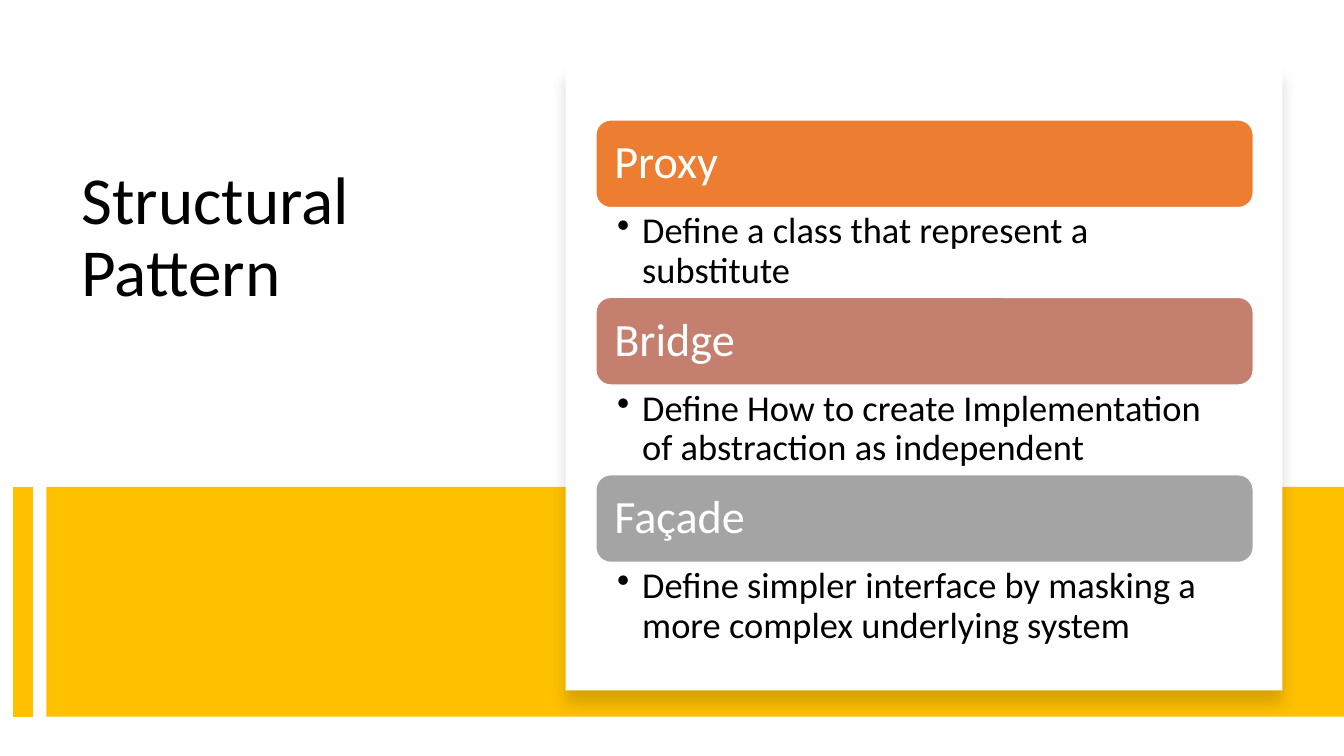
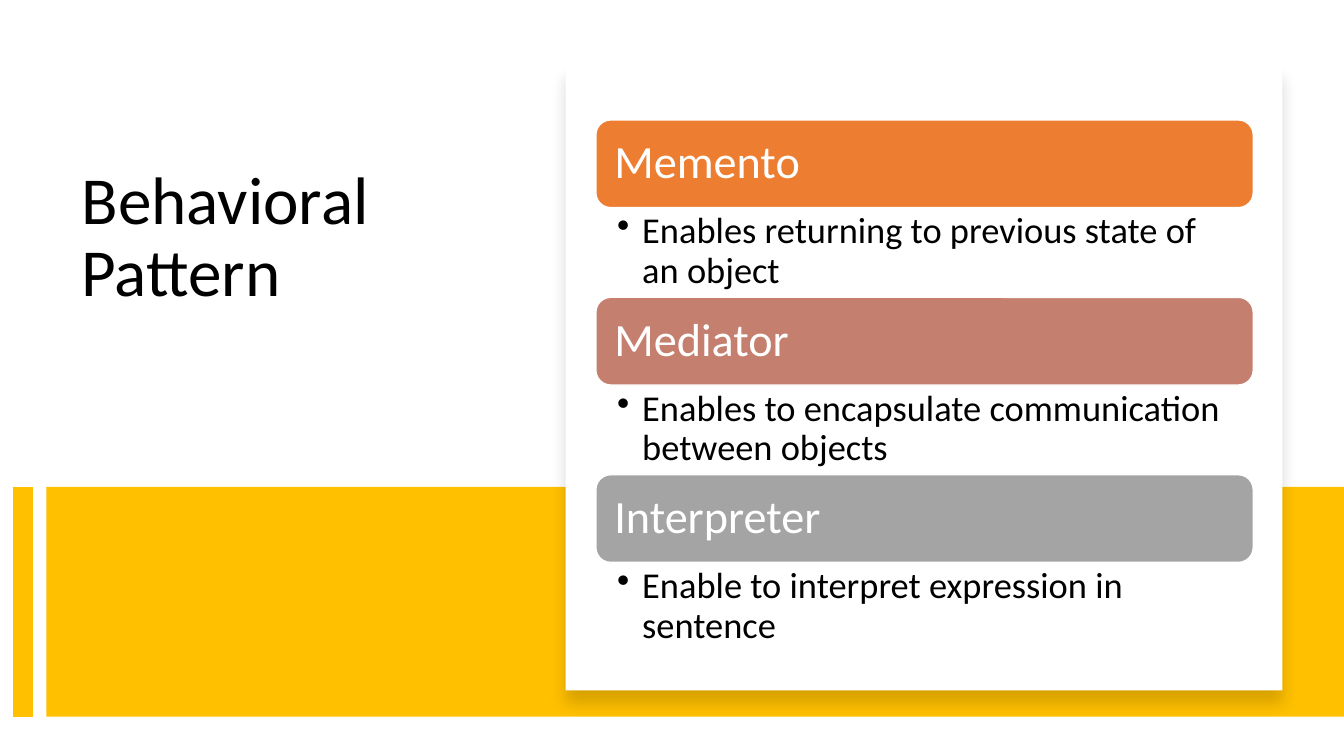
from lxml import etree
from pptx import Presentation
from pptx.dml.color import RGBColor
from pptx.enum import shapes as sh, text as tx
from pptx.oxml import ns
from pptx.util import Inches, Pt

HUES = {
    "ink": "000000", "paper": "FFFFFF", "gold": "FFC000",
    "orange": "ED7D31", "rose": "C47F6E", "gray": "A4A4A4",
}
FONT = "Calibri"
TOP, STEP, HIGH = 1.19, 1.76, 0.87
LEFT, WIDE = 5.91, 6.52
BARS = ("orange", "rose", "gray")

DECK = [
    ("Structural Pattern", [
        ("Proxy", "Define a class that represent a substitute"),
        ("Bridge", "Define How to create Implementation of abstraction as independent"),
        ("Façade", "Define simpler interface by masking a more complex underlying system"),
    ]),
    ("Behavioral Pattern", [
        ("Memento", "Enables returning to previous state of an object"),
        ("Mediator", "Enables to encapsulate communication between objects"),
        ("Interpreter", "Enable to interpret expression in sentence"),
    ]),
]


def hue(name):
    return RGBColor.from_string(HUES[name])


def node(base, tag, **attrs):
    return etree.SubElement(base, ns.qn(tag), attrs)


class Kit:
    def __init__(self):
        self.deck = Presentation()
        self.deck.slide_width = Inches(13.33)
        self.deck.slide_height = Inches(7.5)
        self.slide = None

    def page(self, title):
        self.slide = self.deck.slides.add_slide(self.deck.slide_layouts[5])
        head = self.slide.shapes.title
        spots = {"left": 0.71, "top": 1.6, "width": 4.15, "height": 2.94}
        for key, val in spots.items():
            setattr(head, key, Inches(val))
        self.label(head, title, 48, "ink", tx.MSO_ANCHOR.TOP, (0.1, 0.05, 0.1, 0.05))

    def label(self, shape, words, size, color, anchor, pads):
        frame = shape.text_frame
        frame.text = words
        left, top, right, low = map(Inches, pads)
        style = {
            "word_wrap": True, "auto_size": tx.MSO_AUTO_SIZE.NONE,
            "vertical_anchor": anchor, "margin_left": left,
            "margin_top": top, "margin_right": right, "margin_bottom": low,
        }
        for key, val in style.items():
            setattr(frame, key, val)
        para = frame.paragraphs[0]
        para.alignment = tx.PP_ALIGN.LEFT
        para.line_spacing = 0.9
        for key, val in {"name": FONT, "size": Pt(size)}.items():
            setattr(para.font, key, val)
        para.font.color.rgb = hue(color)
        return para

    def block(self, spot, color, kind=sh.MSO_SHAPE.RECTANGLE, edge=None):
        shape = self.slide.shapes.add_shape(kind, *map(Inches, spot))
        shape.shadow.inherit = False
        shape.fill.solid()
        shape.fill.fore_color.rgb = hue(color)
        if edge:
            shape.line.color.rgb = hue(edge)
            shape.line.width = Pt(1)
        else:
            shape.line.fill.background()
        return shape

    def card(self, spot):
        shape = self.block(spot, "paper")
        glow = shape.element.spPr.find(ns.qn("a:effectLst"))
        drop = node(glow, "a:outerShdw", blurRad=str(Pt(11)), dist=str(Pt(10)),
                    dir="5400000", algn="t", rotWithShape="0")
        tint = node(drop, "a:srgbClr", val=HUES["ink"])
        node(tint, "a:alpha", val="15000")

    def line(self, start, end, color, width):
        rule = self.slide.shapes.add_connector(
            sh.MSO_CONNECTOR.STRAIGHT, *map(Inches, start + end))
        rule.line.color.rgb = hue(color)
        rule.line.width = Pt(width)
        node(rule.element.spPr, "a:effectLst")

    def bar(self, top, words, color):
        shape = self.block((LEFT, top, WIDE, HIGH), color,
                           sh.MSO_SHAPE.ROUNDED_RECTANGLE, "paper")
        shape.adjustments[0] = 0.17
        self.label(shape, words, 33, "paper", tx.MSO_ANCHOR.MIDDLE,
                   (0.14, 0.14, 0.14, 0.14))

    def bullet(self, top, words):
        box = self.slide.shapes.add_textbox(*map(Inches, (LEFT, top, WIDE, 0.9)))
        para = self.label(box, words, 26, "ink", tx.MSO_ANCHOR.TOP,
                          (0.21, 0.05, 0.26, 0.05))
        props = para._p.get_or_add_pPr()
        props.set("marL", str(Inches(0.25)))
        props.set("indent", str(Inches(-0.25)))
        mark = etree.Element(ns.qn("a:buClr"))
        node(mark, "a:srgbClr", val=HUES["ink"])
        sign = etree.Element(ns.qn("a:buChar"), char="•")
        spot = list(props).index(props.find(ns.qn("a:lnSpc"))) + 1
        props[spot:spot] = [mark, sign]

    def band(self):
        self.block((0.46, 4.83, 12.87, 2.28), "gold")
        self.line((0.23, 4.83), (0.23, 7.11), "gold", 14)
        self.card((5.61, 0.64, 7.11, 6.21))


def main():
    kit = Kit()
    for title, items in DECK:
        kit.page(title)
        kit.band()
        for row, ((name, note), color) in enumerate(zip(items, BARS)):
            top = TOP + row * STEP
            kit.bar(top, name, color)
            kit.bullet(top + HIGH, note)
    kit.deck.save("out.pptx")


if __name__ == "__main__":
    main()
